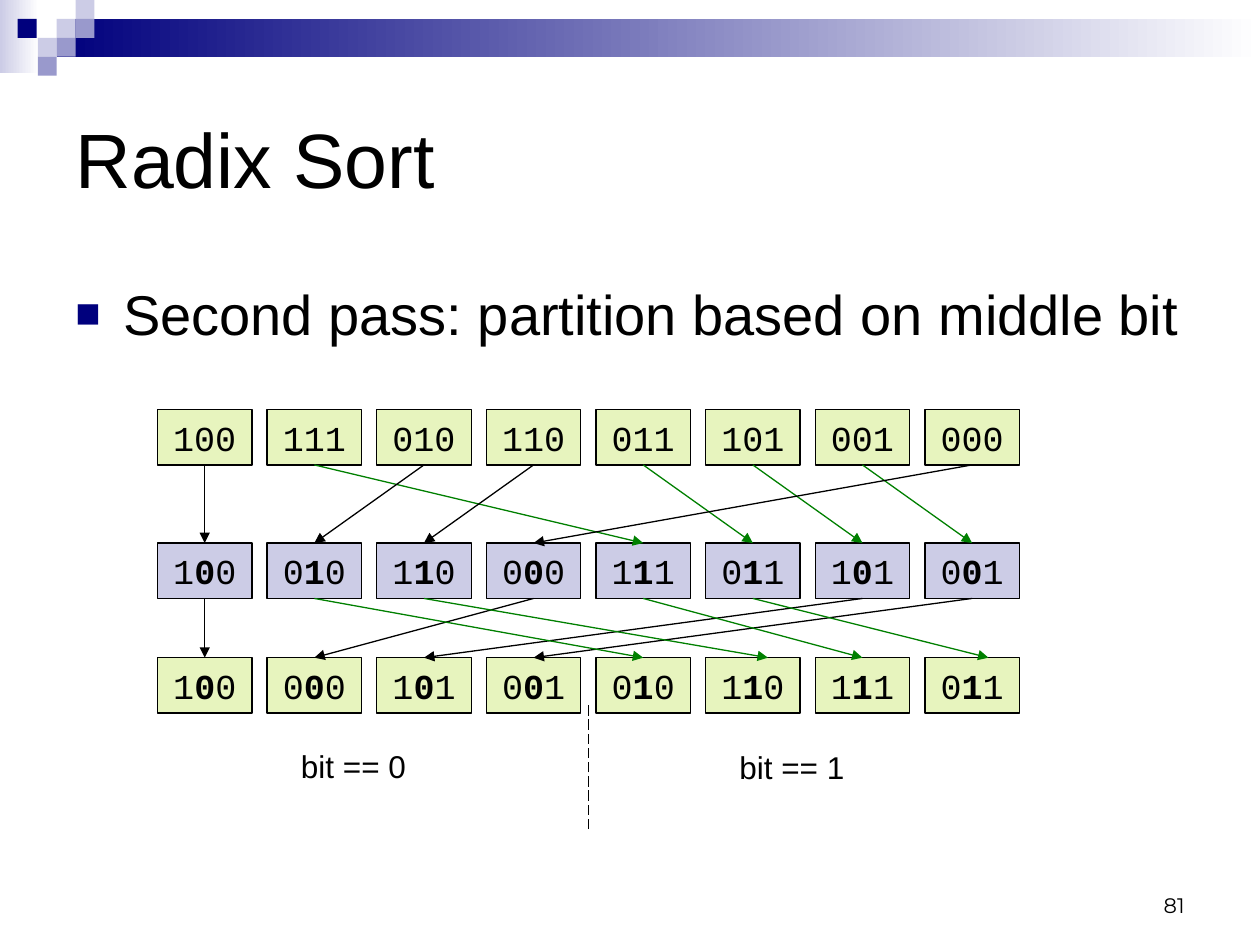
from dataclasses import dataclass

import pptx
import pptx.util
from lxml import etree
from pptx.dml.color import RGBColor
from pptx.enum.dml import MSO_LINE
from pptx.enum.shapes import MSO_CONNECTOR, MSO_SHAPE
from pptx.enum.text import MSO_ANCHOR, PP_ALIGN
from pptx.oxml.ns import qn
from pptx.util import Inches

COLORS = {
    "black": "000000", "white": "FFFFFF", "navy": "00007D", "lilac": "CCCCE6",
    "violet": "9999CC", "lime": "E7F4BE", "green": "008000",
}
LEFT, PITCH, BOX_W, BOX_H = 1.25, 0.87, 0.75, 0.44
TOP, BOTTOM = 0, 2


@dataclass
class Tile:
    left: float
    top: float
    color: str


@dataclass
class Row:
    top: float
    fill: str
    bold_middle: bool
    codes: list[str]


@dataclass
class Move:
    start: int
    end: int
    shift: float = 0


TILES = [
    Tile(0.45, 0.15, "lilac"), Tile(0.6, 0, "lilac"), Tile(0.6, 0.15, "violet"),
    Tile(0.3, 0.3, "lilac"), Tile(0.14, 0.15, "navy"), Tile(0.45, 0.3, "violet"),
    Tile(0.3, 0.45, "violet"),
]
ROWS = [
    Row(3.25, "lime", False, "100 111 010 110 011 101 001 000".split()),
    Row(4.31, "lilac", True, "100 010 110 000 111 011 101 001".split()),
    Row(5.22, "lime", True, "100 000 101 001 010 110 111 011".split()),
]
# Moves from each row to the next one, by column
PASSES = [
    [Move(0, 0), Move(1, 4), Move(2, 1), Move(3, 2),
     Move(4, 5), Move(5, 6), Move(6, 7), Move(7, 3)],
    [Move(0, 0), Move(3, 1), Move(6, 2), Move(7, 3),
     Move(1, 4), Move(2, 5, 0.12), Move(4, 6), Move(5, 7, 0.13)],
]


def rgb(name: str) -> RGBColor:
    return RGBColor.from_string(COLORS[name])


def style(r, size: float, font: str = "Arial", bold: bool = False) -> None:
    r.font.size = pptx.util.Pt(size)
    r.font.name = font
    r.font.bold = bold
    r.font.color.rgb = rgb("black")


def add_rect(s, left: float, top: float, width: float, height: float):
    sp = s.shapes.add_shape(MSO_SHAPE.RECTANGLE, Inches(left), Inches(top),
                            Inches(width), Inches(height))
    sp.shadow.inherit = False
    sp.line.fill.background()
    return sp


def add_fade(s, left: float, top: float, width: float, height: float, color: str) -> None:
    fill = add_rect(s, left, top, width, height).fill
    fill.gradient()
    fill.gradient_angle = 0
    for stop, name in zip(fill.gradient_stops, (color, "white")):
        stop.color.rgb = rgb(name)


def add_box(s, row: Row, column: int):
    sp = add_rect(s, LEFT + column * PITCH, row.top, BOX_W, BOX_H)
    sp.fill.solid()
    sp.fill.fore_color.rgb = rgb(row.fill)
    sp.line.color.rgb = rgb("black")
    sp.line.width = pptx.util.Pt(0.75)
    p = sp.text_frame.paragraphs[0]
    p.alignment = PP_ALIGN.CENTER
    code = row.codes[column]
    for i, part in enumerate(code if row.bold_middle else [code]):
        r = p.add_run()
        r.text = part
        style(r, 20, "Courier New", row.bold_middle and i == 1)
    return sp


def add_line(s, x1: float, y1: float, x2: float, y2: float, color: str):
    line = s.shapes.add_connector(MSO_CONNECTOR.STRAIGHT, Inches(x1), Inches(y1),
                                  Inches(x2), Inches(y2))
    line.line.color.rgb = rgb(color)
    line.line.width = pptx.util.Pt(0.75)
    etree.SubElement(line._element.spPr, qn("a:effectLst"))
    return line


def add_arrow(s, source, target, move: Move) -> None:
    color = "green" if move.end >= 4 else "black"
    tip = LEFT + move.end * PITCH + BOX_W / 2 + move.shift
    line = add_line(s, 0, 0, tip, target.top.inches, color)
    line.begin_connect(source, BOTTOM)
    if not move.shift:
        line.end_connect(target, TOP)
    etree.SubElement(line.line._get_or_add_ln(), qn("a:tailEnd"), type="triangle")


def add_text(s, left: float, top: float, width: float, height: float, text: str,
             size: float, font: str = "Arial", wrap: bool = True):
    tf = s.shapes.add_textbox(Inches(left), Inches(top), Inches(width),
                              Inches(height)).text_frame
    tf.word_wrap = wrap
    tf.text = text
    style(tf.paragraphs[0].runs[0], size, font)
    return tf


def add_bullet(p) -> None:
    p.space_before = pptx.util.Pt(6.4)
    pPr = p._p.get_or_add_pPr()
    pPr.set("marL", str(Inches(0.38)))
    pPr.set("indent", str(Inches(-0.38)))
    color = etree.SubElement(pPr, qn("a:buClr"))
    etree.SubElement(color, qn("a:srgbClr"), val=COLORS["navy"])
    etree.SubElement(pPr, qn("a:buSzPct"), val="75000")
    etree.SubElement(pPr, qn("a:buFont"), typeface="Arial")
    etree.SubElement(pPr, qn("a:buChar"), char="■")


def main() -> None:
    prs = pptx.Presentation()
    prs.slide_width, prs.slide_height = Inches(10), Inches(7.5)
    s = prs.slides.add_slide(prs.slide_layouts[5])

    # Header band and tiles
    add_fade(s, 0, 0, 0.31, 0.58, "lilac")
    add_fade(s, 0.45, 0.15, 9.55, 0.3, "navy")
    for tile in TILES:
        sp = add_rect(s, tile.left, tile.top, 0.15, 0.15)
        sp.fill.solid()
        sp.fill.fore_color.rgb = rgb(tile.color)

    # Title and statement
    title = s.shapes.title
    title.left, title.top = Inches(0.5), Inches(0.5)
    title.width, title.height = Inches(9), Inches(1.5)
    tf = title.text_frame
    tf.text = "Radix Sort"
    tf.vertical_anchor = MSO_ANCHOR.MIDDLE
    tf.paragraphs[0].alignment = PP_ALIGN.LEFT
    style(tf.paragraphs[0].runs[0], 44)
    tf = add_text(s, 0.5, 2.17, 9, 0.75, "Second pass: partition based on middle bit", 32)
    add_bullet(tf.paragraphs[0])

    # Rows of codes and the moves between them
    boxes = [[add_box(s, row, i) for i in range(len(row.codes))] for row in ROWS]
    for sources, targets, moves in zip(boxes, boxes[1:], PASSES):
        for move in moves:
            add_arrow(s, sources[move.start], targets[move.end], move)

    # Partition divider and labels
    divider = add_line(s, 4.67, 6.58, 4.67, 5.58, "black")
    divider.line.dash_style = MSO_LINE.LONG_DASH
    add_text(s, 2.29, 5.88, 1.04, 0.4, "bit == 0", 18, wrap=False)
    add_text(s, 5.77, 5.89, 1.04, 0.4, "bit == 1", 18, wrap=False)

    # Slide number
    tf = add_text(s, 7.17, 6.83, 2.33, 0.5, "81", 12, "Montserrat")
    tf.vertical_anchor = MSO_ANCHOR.BOTTOM
    tf.paragraphs[0].alignment = PP_ALIGN.RIGHT

    prs.save("out.pptx")


if __name__ == "__main__":
    main()
